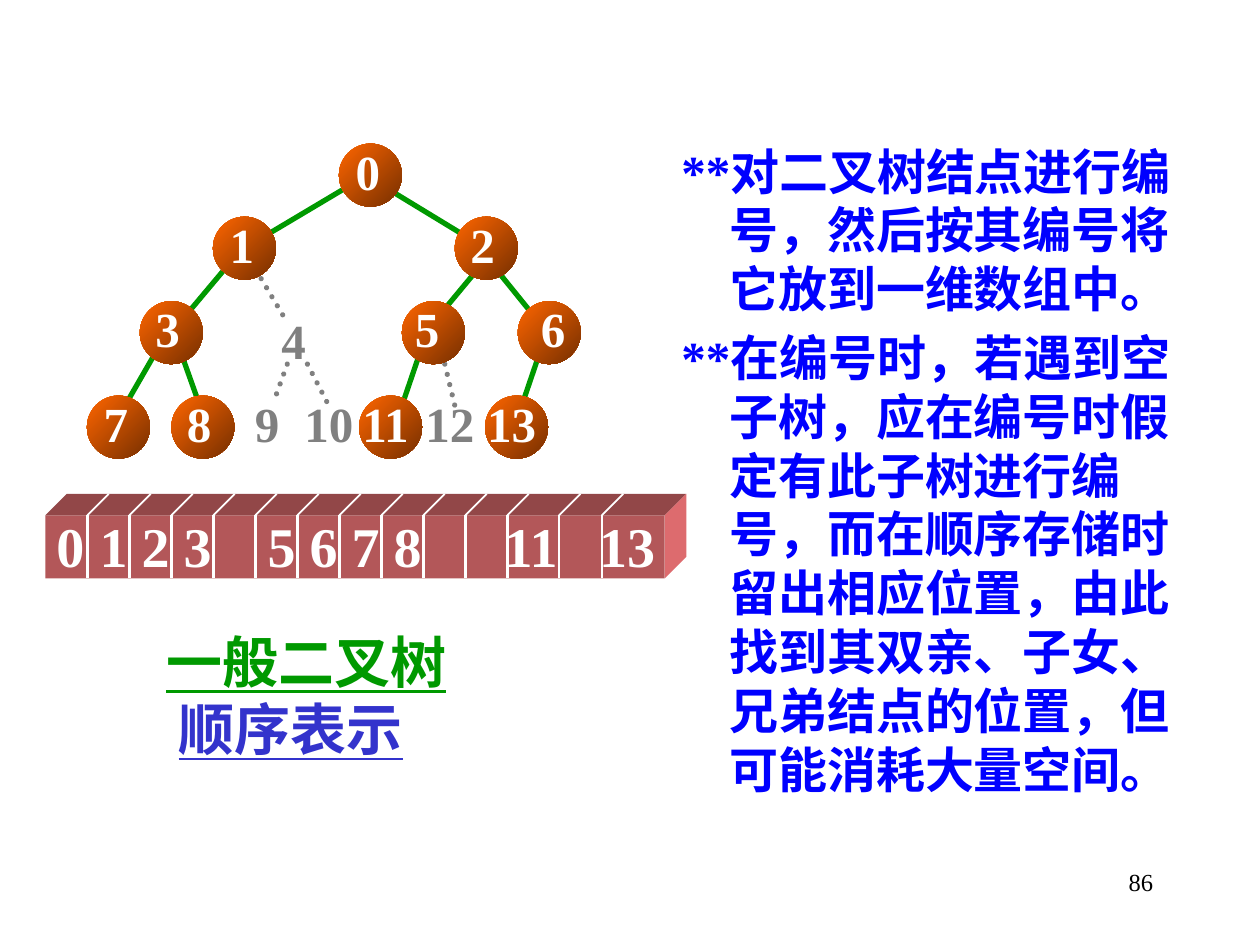
from itertools import accumulate

from lxml import etree
from pptx import Presentation
from pptx import util as u
from pptx.dml.color import RGBColor
from pptx.enum import dml, shapes, text
from pptx.oxml.ns import qn

THEME = {
    "latin": "Times New Roman", "cjk": "Noto Sans CJK SC",
    "node": ("FF6600", "762F00"), "node_text": "FFFFFF",
    "edge": "009900", "absent": "808080",
    "array_front": "B35759", "array_top": "924748", "array_side": "DD6B6E",
    "array_line": "FFFFFF", "heading": "009900", "subheading": "3333CC",
    "body": "0000FF", "number": "000000",
    "label_size": 28, "array_size": 32, "heading_size": 32,
    "body_size": 28, "number_size": 14,
}

NODE = 0.5
LEVELS = [1.14, 1.72, 2.39, 3.14]
# value, level, left of circle, centre of its label
NODES = [
    ("0", 0, 2.69, 2.92), ("1", 1, 1.69, 1.92), ("2", 1, 3.61, 3.83),
    ("3", 2, 1.11, 1.33), ("5", 2, 3.19, 3.39), ("6", 2, 4.11, 4.39),
    ("7", 3, 0.69, 0.92), ("8", 3, 1.36, 1.58), ("11", 3, 2.85, 3.06),
    ("13", 3, 3.85, 4.06),
]
# value, top, centre of label
ABSENT = [("4", 2.41, 2.33), ("9", 3.07, 2.12), ("10", 3.07, 2.61),
          ("12", 3.07, 3.57)]
EDGES = [
    (2.78, 1.47, 1.94, 1.97), (3.03, 1.47, 3.82, 1.95),
    (1.78, 2.14, 1.36, 2.64), (3.83, 2.09, 3.44, 2.56),
    (3.94, 2.14, 4.28, 2.56), (1.28, 2.72, 0.94, 3.31),
    (1.44, 2.81, 1.6, 3.26), (3.36, 2.72, 3.19, 3.22),
    (4.28, 2.81, 4.11, 3.31),
]
ABSENT_EDGES = [
    (2.03, 2.14, 2.28, 2.56), (2.28, 2.89, 2.19, 3.14),
    (2.44, 2.89, 2.61, 3.22), (3.53, 2.89, 3.61, 3.22),
]
ARRAY = ["0", "1", "2", "3", "", "5", "6", "7", "8", "", "", "11", "", "13"]
ARRAY_LEFT, ARRAY_TOP, ARRAY_HEIGHT, DEPTH = 0.36, 4.09, 0.5, 0.17
CELL_WIDTHS = [1 / 3] * 11 + [0.41, 0.34, 0.5]
HEADINGS = [("一般二叉树", "heading", 0), ("顺序表示", "subheading", 0.1)]
NOTES = [
    "**对二叉树结点进行编号，然后按其编号将 它放到一维数组中。",
    "**在编号时，若遇到空子树，应在编号时假 定有此子树进行编号，而在顺序存储时留出相应位置，"
    "由此找到其双亲、子女、兄弟结点的位置，但可能消耗大量空间。",
]
PAGE_NUMBER = "86"


def color(name):
    return RGBColor.from_string(THEME[name])


def style(paragraph, role, size, bold=True, latin="latin"):
    for run in paragraph.runs:
        font = run.font
        font.name, font.size, font.bold = THEME[latin], u.Pt(THEME[size]), bold
        font.color.rgb = color(role)
        etree.SubElement(run._r.get_or_add_rPr(), qn("a:ea"), typeface=THEME["cjk"])


def add_text(slide, left, top, width, height, lines, wrap=True, middle=False):
    frame = slide.shapes.add_textbox(
        *map(u.Inches, (left, top, width, height))).text_frame
    frame.word_wrap = wrap
    if middle:
        frame.vertical_anchor = text.MSO_ANCHOR.MIDDLE
    frame.text = "\n".join(lines)
    return frame


def add_line(slide, ends, role, width, dotted=False):
    line = slide.shapes.add_connector(
        shapes.MSO_CONNECTOR.STRAIGHT, *map(u.Inches, ends))
    line.line.color.rgb = color(role)
    line.line.width = u.Pt(width)
    if dotted:
        line.line.dash_style = dml.MSO_LINE.ROUND_DOT
        line.line._get_or_add_ln().set("cap", "rnd")
    etree.SubElement(line._element.spPr, qn("a:effectLst"))


def add_label(slide, value, center, top, role):
    width = 0.4 if len(value) == 1 else 0.59
    frame = add_text(slide, center - width / 2, top, width, 0.57, [value],
                     wrap=False, middle=True)
    frame.paragraphs[0].alignment = text.PP_ALIGN.CENTER
    style(frame.paragraphs[0], role, "label_size")


def add_node(slide, left, top):
    circle = slide.shapes.add_shape(
        shapes.MSO_SHAPE.OVAL, *map(u.Inches, (left, top, NODE, NODE)))
    circle.shadow.inherit = False
    circle.line.fill.background()
    circle.fill.gradient()
    circle.fill.gradient_angle = 315  # counter-clockwise: runs to lower right
    for stop, shade, place in zip(circle.fill.gradient_stops, THEME["node"], (0, 1)):
        stop.color.rgb = RGBColor.from_string(shade)
        stop.position = place


def add_face(slide, corners, role):
    points = [(u.Inches(x), u.Inches(y)) for x, y in corners]
    outline = slide.shapes.build_freeform(*points[0])
    outline.add_line_segments(points[1:], close=True)
    face = outline.convert_to_shape()
    face.shadow.inherit = False
    face.fill.solid()
    face.fill.fore_color.rgb = color(role)
    face.line.fill.background()


def add_tree(slide):
    for ends in EDGES:
        add_line(slide, ends, "edge", 3)
    for ends in ABSENT_EDGES:
        add_line(slide, ends, "absent", 3, dotted=True)
    for value, level, left, center in NODES:
        add_node(slide, left, LEVELS[level])
        add_label(slide, value, center, LEVELS[level] - 0.07, "node_text")
    for value, top, center in ABSENT:
        add_label(slide, value, center, top, "absent")


def add_array(slide):
    """Draw the storage block in depth, with its cells and their values."""
    edges = list(accumulate(CELL_WIDTHS, initial=ARRAY_LEFT))
    left, right = edges[0], edges[-1]
    top, bottom, back = ARRAY_TOP, ARRAY_TOP + ARRAY_HEIGHT, ARRAY_TOP - DEPTH
    front = slide.shapes.add_shape(
        shapes.MSO_SHAPE.RECTANGLE,
        *map(u.Inches, (left, top, right - left, ARRAY_HEIGHT)))
    front.shadow.inherit = False
    front.fill.solid()
    front.fill.fore_color.rgb = color("array_front")
    front.line.fill.background()
    add_face(slide, [(left, top), (left + DEPTH, back), (right + DEPTH, back),
                     (right, top)], "array_top")
    add_face(slide, [(right, top), (right + DEPTH, back),
                     (right + DEPTH, bottom - DEPTH), (right, bottom)], "array_side")
    for x in edges[1:-1]:
        add_line(slide, (x, top, x, bottom), "array_line", 1.5)
        add_line(slide, (x, top, x + DEPTH, back), "array_line", 1)

    box_left, inset = 0.35, 0.1
    frame = add_text(slide, box_left, 4.01, 5, 0.64,
                     ["\t".join(filter(None, ARRAY))], middle=True)
    values = frame.paragraphs[0]
    stops = etree.SubElement(values._p.get_or_add_pPr(), qn("a:tabLst"))
    for value, start in list(zip(ARRAY, edges))[1:]:
        if value:
            digit_left = start + (0.1 if len(value) == 1 else -0.02)
            etree.SubElement(stops, qn("a:tab"), algn="l",
                             pos=str(u.Inches(digit_left - box_left - inset)))
    style(values, "node_text", "array_size")


def add_headings(slide):
    frame = add_text(slide, 1.22, 4.93, 2.81, 1.17, [h[0] for h in HEADINGS])
    for paragraph, (_, role, indent) in zip(frame.paragraphs, HEADINGS):
        paragraph._p.get_or_add_pPr().set("marL", str(u.Inches(indent)))
        style(paragraph, role, "heading_size", latin="cjk")
        paragraph.runs[0].font.underline = True


def add_notes_text(slide):
    frame = add_text(slide, 5.31, 1.07, 4.25, 5.59, NOTES)
    for index, paragraph in enumerate(frame.paragraphs):
        properties = paragraph._p.get_or_add_pPr()
        properties.set("marL", str(u.Inches(0.38)))
        properties.set("indent", str(u.Inches(-0.38)))
        properties.set("hangingPunct", "0")
        if index:
            paragraph.space_before = u.Pt(5.6)
        style(paragraph, "body", "body_size")


def main():
    deck = Presentation()
    deck.slide_width, deck.slide_height = u.Inches(10), u.Inches(7.5)
    slide = deck.slides.add_slide(deck.slide_layouts[6])
    add_tree(slide)
    add_array(slide)
    add_headings(slide)
    add_notes_text(slide)
    number = add_text(slide, 7.17, 6.83, 2.08, 0.5, [PAGE_NUMBER]).paragraphs[0]
    number.alignment = text.PP_ALIGN.RIGHT
    style(number, "number", "number_size", bold=False)
    deck.save("out.pptx")


if __name__ == "__main__":
    main()
